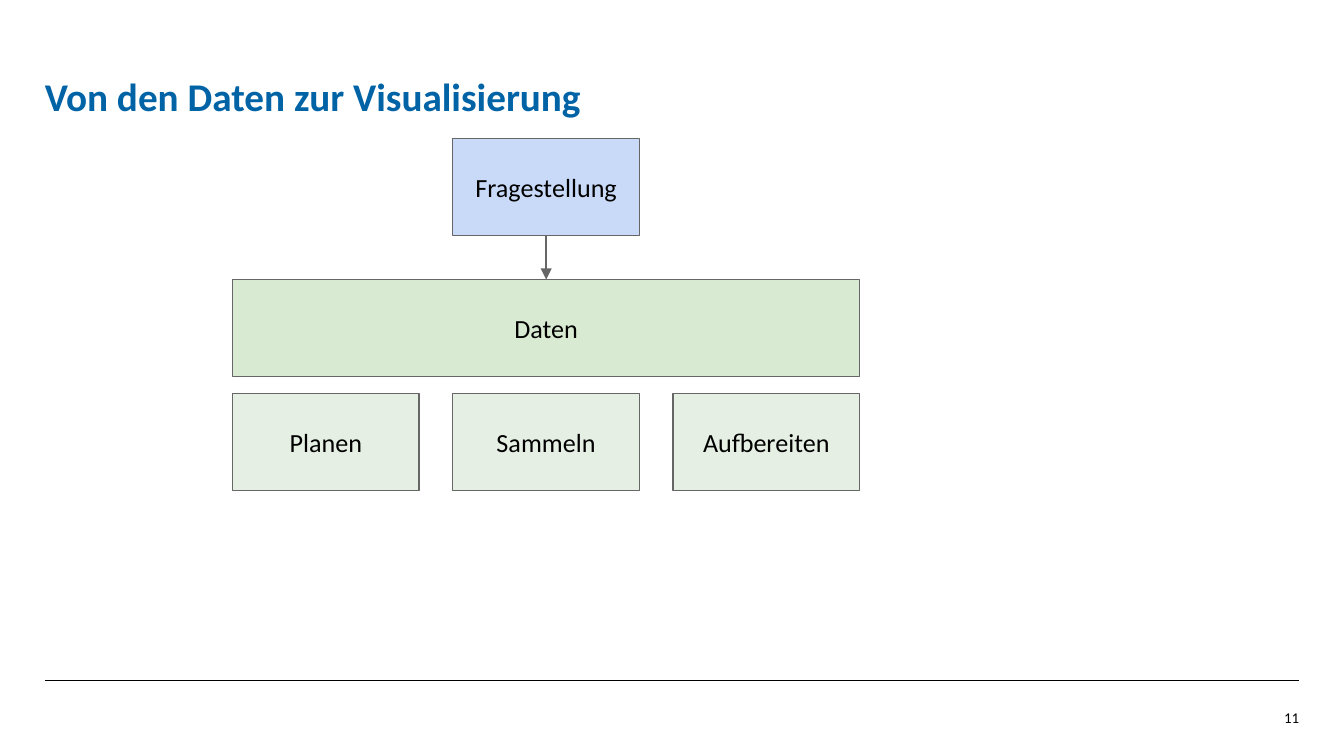
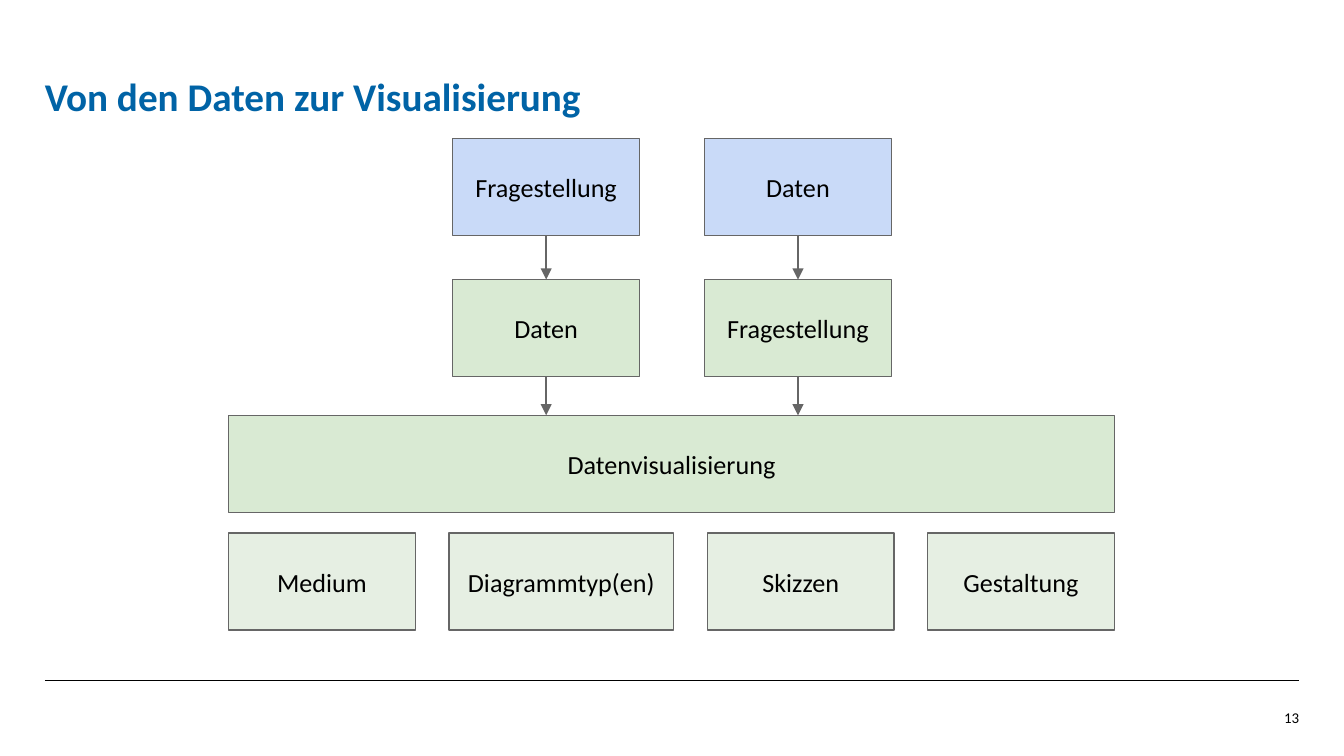
import pptx
import pptx.dml.color
import pptx.enum.shapes
import pptx.enum.text
import pptx.oxml
import pptx.oxml.ns
import pptx.util

Pt = pptx.util.Pt
RGBColor = pptx.dml.color.RGBColor
ALIGN = pptx.enum.text.PP_ALIGN
ANCHOR = pptx.enum.text.MSO_ANCHOR

BLACK = RGBColor(0x00, 0x00, 0x00)
TITLE_BLUE = RGBColor(0x00, 0x63, 0xA6)
START_BLUE = RGBColor(0xC9, 0xDA, 0xF8)
STAGE_GREEN = RGBColor(0xD9, 0xEA, 0xD3)
STEP_GREEN = RGBColor(0xE6, 0xEF, 0xE3)
OUTLINE_GRAY = RGBColor(0x66, 0x66, 0x66)

FONT = "Calibri"
BOX_WIDTH = 100
BOX_HEIGHT = 52
STEP_GAP = 18
START_TOP = 74.2
STAGE_TOP = 149.8
VISUAL_TOP = 222.5


def add_text(slide, text, left, top, width=BOX_WIDTH, height=BOX_HEIGHT, *, fill=None,
             size=14, color=BLACK, bold=False, align=ALIGN.CENTER,
             anchor=ANCHOR.MIDDLE, inset=7.2, spacing=None):
    place = [Pt(value) for value in (left, top, width, height)]
    if fill is None:
        box = slide.shapes.add_textbox(*place)
    else:
        box = slide.shapes.add_shape(pptx.enum.shapes.MSO_SHAPE.RECTANGLE, *place)
        box.shadow.inherit = False
        box.fill.solid()
        box.fill.fore_color.rgb = fill
        box.line.color.rgb = OUTLINE_GRAY
        box.line.width = Pt(0.75)
    frame = box.text_frame
    frame.word_wrap = True
    frame.vertical_anchor = anchor
    frame.margin_left = frame.margin_right = Pt(inset)
    frame.margin_top = frame.margin_bottom = Pt(inset)
    para = frame.paragraphs[0]
    para.alignment = align
    para.line_spacing = spacing
    span = para.add_run()
    span.text = text
    span.font.name = FONT
    span.font.size = Pt(size)
    span.font.bold = bold
    span.font.color.rgb = color


def add_line(slide, x1, y1, x2, y2, color, arrow=False):
    line = slide.shapes.add_connector(
        pptx.enum.shapes.MSO_CONNECTOR.STRAIGHT, Pt(x1), Pt(y1), Pt(x2), Pt(y2))
    line.line.color.rgb = color
    line.line.width = Pt(0.75)
    if arrow:
        head = pptx.oxml.parse_xml(
            f'<a:tailEnd {pptx.oxml.ns.nsdecls("a")} type="triangle"/>')
        line.line._get_or_add_ln().append(head)
    line._element.spPr.append(
        pptx.oxml.parse_xml(f'<a:effectLst {pptx.oxml.ns.nsdecls("a")}/>'))


deck = pptx.Presentation()
deck.slide_width = Pt(720)
deck.slide_height = Pt(405)

diagrams = [
    {
        "number": "11",
        "columns": [(242.6, ["Fragestellung"])],
        "bar": ("Daten", 124.6, STAGE_TOP),
        "steps_top": 210.8,
        "steps": [("Planen", 100), ("Sammeln", 100), ("Aufbereiten", 100)],
    },
    {
        "number": "13",
        "columns": [(242.6, ["Fragestellung", "Daten"]), (377.5, ["Daten", "Fragestellung"])],
        "bar": ("Datenvisualisierung", 122.5, VISUAL_TOP),
        "steps_top": 285.6,
        "steps": [("Medium", 100), ("Diagrammtyp(en)", 120.5),
                  ("Skizzen", 100), ("Gestaltung", 100)],
    },
]

for diagram in diagrams:
    slide = deck.slides.add_slide(deck.slide_layouts[6])
    add_line(slide, 24, 364.5, 696, 364.5, BLACK)
    add_text(slide, "Von den Daten zur Visualisierung", 24, 16.5, 504, 48, size=21,
             color=TITLE_BLUE, bold=True, align=ALIGN.LEFT, anchor=ANCHOR.BOTTOM,
             inset=0, spacing=0.9)

    bar_text, bar_left, bar_top = diagram["bar"]
    for left, labels in diagram["columns"]:
        tops = [START_TOP, STAGE_TOP][:len(labels)]
        targets = tops[1:] + [bar_top]
        fills = [START_BLUE, STAGE_GREEN]
        center = left + BOX_WIDTH / 2
        for label, top, target, fill in zip(labels, tops, targets, fills):
            add_text(slide, label, left, top, fill=fill)
            add_line(slide, center, top + BOX_HEIGHT, center, target, OUTLINE_GRAY, arrow=True)

    step_left = bar_left
    for label, width in diagram["steps"]:
        add_text(slide, label, step_left, diagram["steps_top"], width, fill=STEP_GREEN)
        step_left += width + STEP_GAP
    add_text(slide, bar_text, bar_left, bar_top, step_left - STEP_GAP - bar_left,
             fill=STAGE_GREEN)

    add_text(slide, diagram["number"], 647, 379.5, 49, 21.5, size=8, align=ALIGN.RIGHT,
             anchor=ANCHOR.TOP, inset=0)

deck.save("out.pptx")
